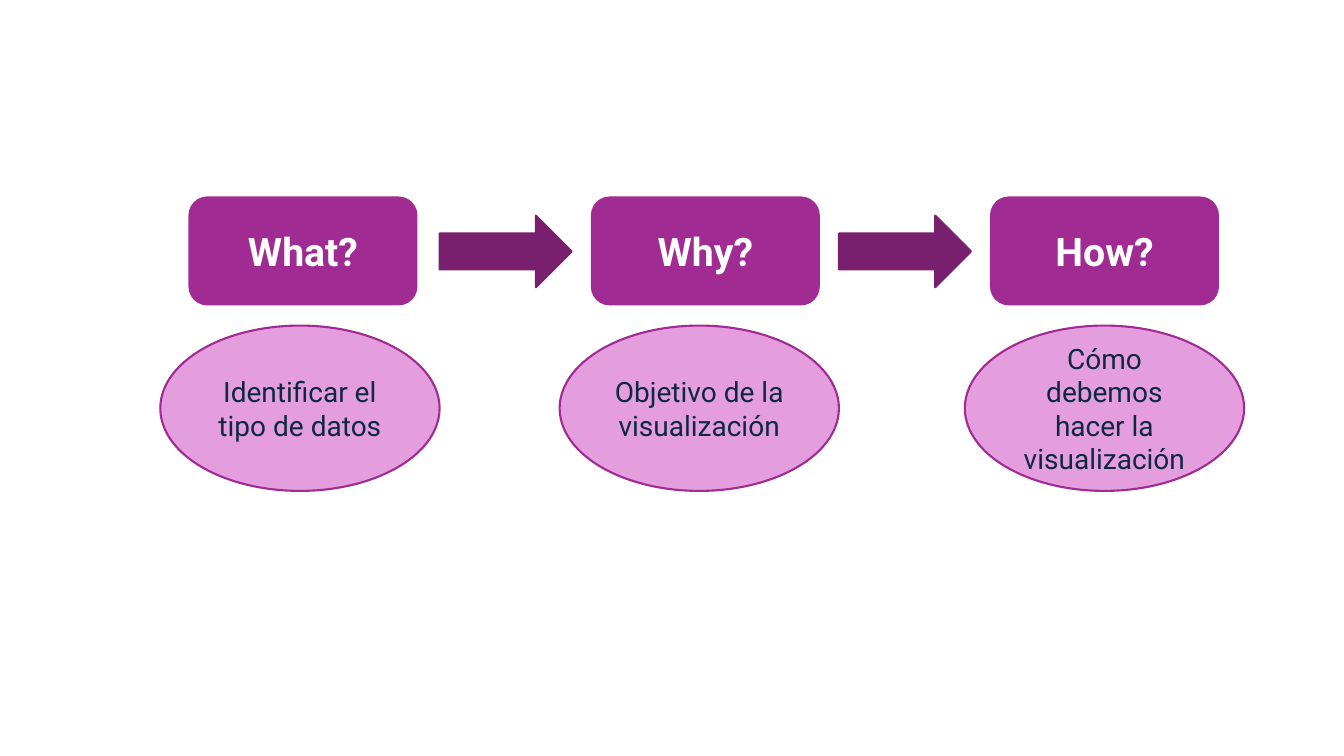
from dataclasses import dataclass

from pptx import Presentation
from pptx.dml.color import RGBColor
from pptx.enum.shapes import MSO_SHAPE
from pptx.enum.text import MSO_ANCHOR, PP_ALIGN
from pptx.util import Inches, Pt

ROUNDED = MSO_SHAPE.ROUNDED_RECTANGLE
ARROW = MSO_SHAPE.RIGHT_ARROW
OVAL = MSO_SHAPE.OVAL
MIDDLE = MSO_ANCHOR.MIDDLE
CENTER = PP_ALIGN.CENTER

COLORS = {
    "purple": "A02B93",
    "plum": "78206E",
    "pink": "E59EDD",
    "navy": "0E2841",
    "white": "FFFFFF",
}
FONT = "Roboto"
WIDTH, HEIGHT = Inches(13.33), Inches(7.5)


@dataclass(frozen=True)
class Style:
    geometry: MSO_SHAPE
    top: float
    width: float
    height: float
    fill: str
    line: str
    text_color: str = "white"
    size: int = 20
    bold: bool = False


@dataclass(frozen=True)
class Step:
    question: str
    question_left: float
    answer: str
    answer_left: float


QUESTION = Style(ROUNDED, 26.13, 16.88, 14.13, "purple", "purple", "white", 28, True)
NEXT = Style(ARROW, 28.53, 9.83, 9.47, "plum", "plum")
ANSWER = Style(OVAL, 43.07, 20.78, 21.87, "pink", "purple", "navy")

STEPS = [
    Step("What?", 14.1, "Identificar el tipo de datos", 11.93),
    Step("Why?", 44.04, "Objetivo de la visualización", 41.64),
    Step("How?", 73.74, "Cómo debemos hacer la visualización", 71.79),
]
ARROW_START, ARROW_PITCH = 32.71, 29.71


def across(percent: float) -> int:
    return round(WIDTH * percent / 100)


def down(percent: float) -> int:
    return round(HEIGHT * percent / 100)


def color(name: str) -> RGBColor:
    return RGBColor.from_string(COLORS[name])


def write_text(shape, text: str, style: Style) -> None:
    frame = shape.text_frame
    frame.word_wrap = True
    frame.vertical_anchor = MIDDLE
    paragraph = frame.paragraphs[0]
    paragraph.alignment = CENTER
    run = paragraph.add_run()
    run.text = text
    font_format = {"name": FONT, "size": Pt(style.size), "bold": style.bold}
    for attribute, value in font_format.items():
        setattr(run.font, attribute, value)
    run.font.color.rgb = color(style.text_color)


def draw(slide, style: Style, left: float, text: str = "") -> None:
    shape = slide.shapes.add_shape(
        style.geometry,
        across(left),
        down(style.top),
        across(style.width),
        down(style.height),
    )
    shape.shadow.inherit = False
    shape.fill.solid()
    shape.fill.fore_color.rgb = color(style.fill)
    shape.line.color.rgb = color(style.line)
    shape.line.width = Pt(1.5)
    if text:
        write_text(shape, text, style)


def main() -> None:
    presentation = Presentation()
    presentation.slide_width, presentation.slide_height = WIDTH, HEIGHT
    blank_layout = presentation.slide_layouts[6]
    slide = presentation.slides.add_slide(blank_layout)
    for step in STEPS:
        draw(slide, QUESTION, step.question_left, step.question)
    for index in range(len(STEPS) - 1):
        draw(slide, NEXT, ARROW_START + index * ARROW_PITCH)
    for step in STEPS:
        draw(slide, ANSWER, step.answer_left, step.answer)
    presentation.save("out.pptx")


if __name__ == "__main__":
    main()
